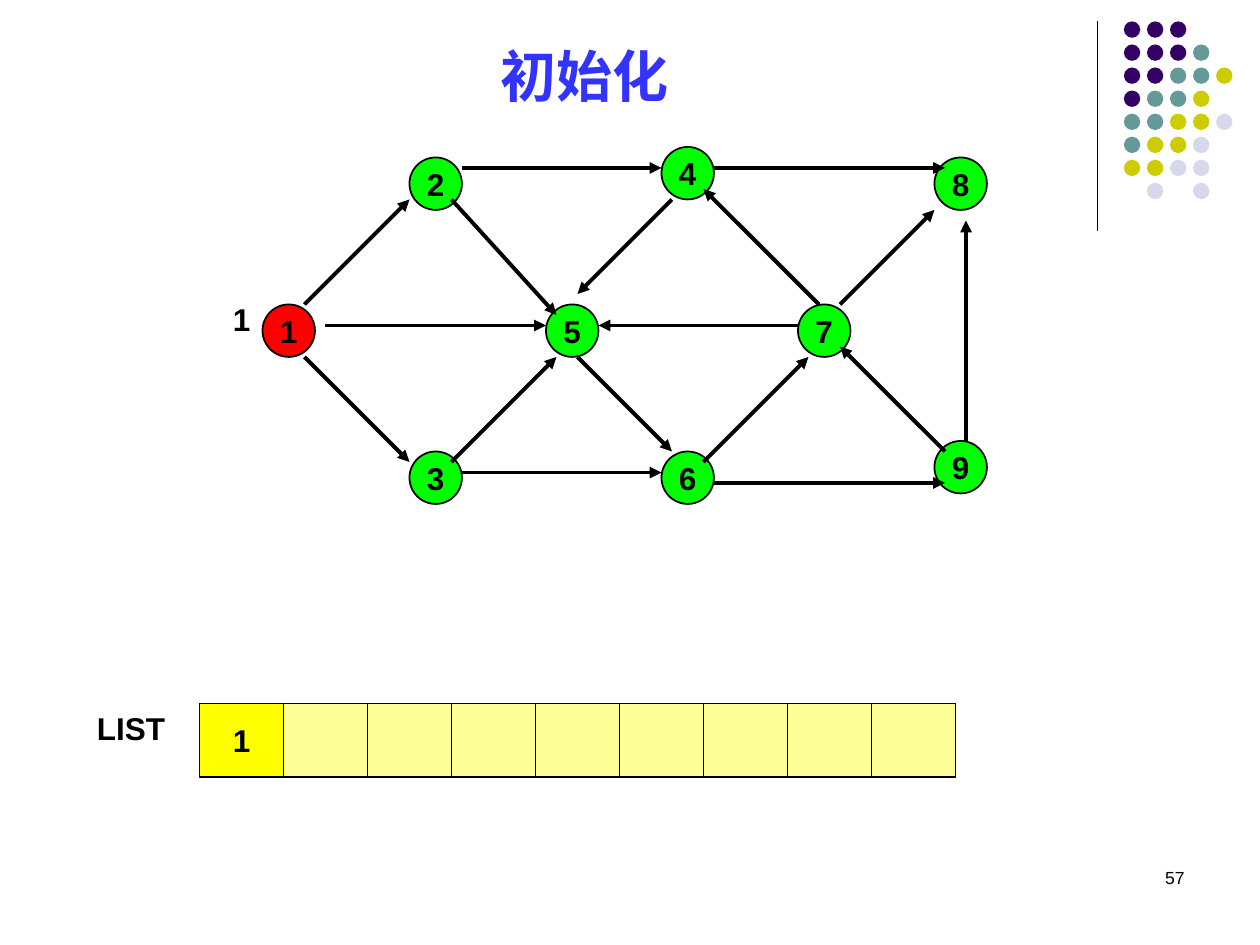
import pptx
import pptx.util
import pptx.dml.color
import pptx.enum.shapes
import pptx.enum.text
import pptx.oxml

UNIT = 1 / 12  # the drawing sits on a grid of twelfths of an inch
NODE_SIZE = 5
NODES = {  # label: (left, top), in grid units
    "2": (39, 15), "4": (63, 14), "5": (52, 29), "3": (39, 43), "6": (63, 43),
    "9": (89, 42), "7": (76, 29), "8": (89, 15), "1": (25, 29),
}
START_NODE = "1"
ARROWS = [  # (from, to), in grid units
    ((44, 16), (63, 16)),   # 2 to 4
    ((68, 16), (90, 16)),   # 4 to 8
    ((80, 29), (89, 20)),   # 7 to 8
    ((78, 29), (67, 18)),   # 7 to 4
    ((64, 19), (55, 28)),   # 4 to 5
    ((31, 31), (52, 31)),   # 1 to 5
    ((43, 44), (53, 34)),   # 3 to 5
    ((55, 34), (64, 43)),   # 5 to 6
    ((44, 45), (63, 45)),   # 3 to 6
    ((68, 46), (90, 46)),   # 6 to 9
    ((90, 43), (80, 33)),   # 9 to 7
    ((92, 42), (92, 21)),   # 9 to 8
    ((29, 34), (39, 44)),   # 1 to 3
    ((29, 29), (39, 19)),   # 1 to 2
    ((43, 19), (53, 30)),   # 2 to 5
    ((76, 31), (57, 31)),   # 7 to 5
    ((67, 44), (77, 34)),   # 6 to 7
]
LIST_VALUES = ["1"] + [""] * 8
LIST_LEFT, LIST_TOP, CELL_WIDTH, CELL_HEIGHT = 19, 67, 8, 7

DOT_ROWS = ["PPP", "PPPT", "PPTTY", "PTTY", "TTYYL", "TYYL", "YYLL", " L L"]
DOT_COLORS = {"P": "330066", "T": "669999", "Y": "CCCC00", "L": "D8D8EC"}
DOT_LEFT, DOT_TOP, DOT_PITCH, DOT_SIZE = 8.92, 0.17, 0.183, 0.13

ALIGN = pptx.enum.text.PP_ALIGN
ANCHOR = pptx.enum.text.MSO_ANCHOR
SHAPE = pptx.enum.shapes.MSO_SHAPE
TEXTS = [  # text, box in inches, alignment, anchor, font format
    ("57", (7.17, 6.83, 2.33, 0.5), ALIGN.RIGHT, ANCHOR.TOP, {"size": 10, "bold": False}),
    ("初始化", (0.39, 0.33, 8.5, 0.58), ALIGN.CENTER, ANCHOR.BOTTOM,
     {"size": 32, "color": "3333FF"}),
    ("LIST", (0.67, 5.58, 0.88, 0.4), ALIGN.LEFT, ANCHOR.TOP, {}),
    ("1", (1.75, 2.33, 0.33, 0.4), ALIGN.LEFT, ANCHOR.TOP, {}),
]


def rgb(value):
    return pptx.dml.color.RGBColor.from_string(value)


def inches(lengths):
    return [pptx.util.Inches(length) for length in lengths]


def grid(*units):
    return [unit * UNIT for unit in units]


def write(shape, text, align=ALIGN.CENTER, anchor=ANCHOR.MIDDLE, wrap=False,
          size=18, bold=True, color="000000"):
    frame = shape.text_frame
    frame.word_wrap = wrap
    frame.vertical_anchor = anchor
    paragraph = frame.paragraphs[0]
    paragraph.alignment = align
    run = paragraph.add_run()
    run.text = text
    font_format = {"name": "Arial", "size": pptx.util.Pt(size), "bold": bold}
    for name, value in font_format.items():
        setattr(run.font, name, value)
    run.font.color.rgb = rgb(color)


def add_shape(slide, kind, box, fill, text="", outlined=True):
    shape = slide.shapes.add_shape(kind, *inches(box))
    shape.shadow.inherit = False
    shape.fill.solid()
    shape.fill.fore_color.rgb = rgb(fill)
    if outlined:
        shape.line.color.rgb = rgb("000000")
        shape.line.width = pptx.util.Pt(1)
    else:
        shape.line.fill.background()
    if text:
        write(shape, text)


def add_line(slide, start, end, width, arrow=False):
    line = slide.shapes.add_connector(
        pptx.enum.shapes.MSO_CONNECTOR.STRAIGHT, *inches((*start, *end)))
    line.line.color.rgb = rgb("000000")
    line.line.width = pptx.util.Pt(width)
    if arrow:
        head = pptx.oxml.parse_xml(
            '<a:tailEnd xmlns:a="http://schemas.openxmlformats.org/drawingml/2006/main"'
            ' type="triangle"/>')
        line.line._get_or_add_ln().append(head)
    line._element.spPr.append(pptx.oxml.parse_xml(
        '<a:effectLst xmlns:a="http://schemas.openxmlformats.org/drawingml/2006/main"/>'))


def add_dots(slide):
    add_line(slide, (8.71, 0.17), (8.71, 1.83), 0.75)
    for row, letters in enumerate(DOT_ROWS):
        for column, letter in enumerate(letters):
            if letter in DOT_COLORS:
                box = (DOT_LEFT + column * DOT_PITCH, DOT_TOP + row * DOT_PITCH,
                       DOT_SIZE, DOT_SIZE)
                add_shape(slide, SHAPE.OVAL, box, DOT_COLORS[letter], outlined=False)


def add_list(slide):
    for index, value in enumerate(LIST_VALUES):
        box = grid(LIST_LEFT + index * CELL_WIDTH, LIST_TOP, CELL_WIDTH, CELL_HEIGHT)
        add_shape(slide, SHAPE.RECTANGLE, box, "FFFF00" if value else "FFFF99", value)


def add_graph(slide):
    for label, corner in NODES.items():
        fill = "FF0000" if label == START_NODE else "00FF00"
        add_shape(slide, SHAPE.OVAL, grid(*corner, NODE_SIZE, NODE_SIZE), fill, label)
    for start, end in ARROWS:
        add_line(slide, grid(*start), grid(*end), 2.25, arrow=True)


def main():
    presentation = pptx.Presentation()
    presentation.slide_width, presentation.slide_height = inches((10, 7.5))
    slide = presentation.slides.add_slide(presentation.slide_layouts[6])
    add_dots(slide)
    for text, box, align, anchor, font_format in TEXTS:
        write(slide.shapes.add_textbox(*inches(box)), text, align, anchor, True, **font_format)
    add_list(slide)
    add_graph(slide)
    presentation.save("out.pptx")


if __name__ == "__main__":
    main()
